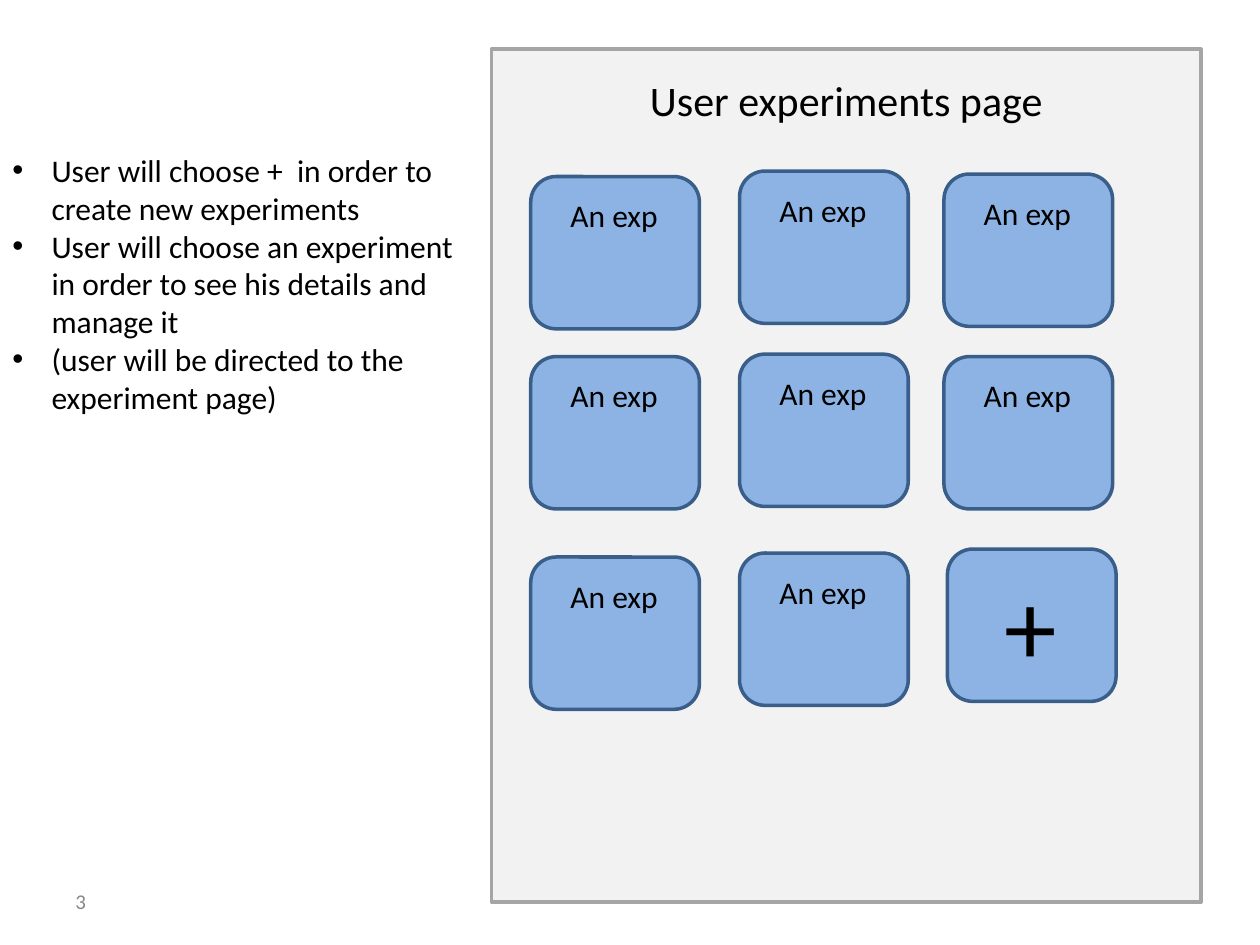
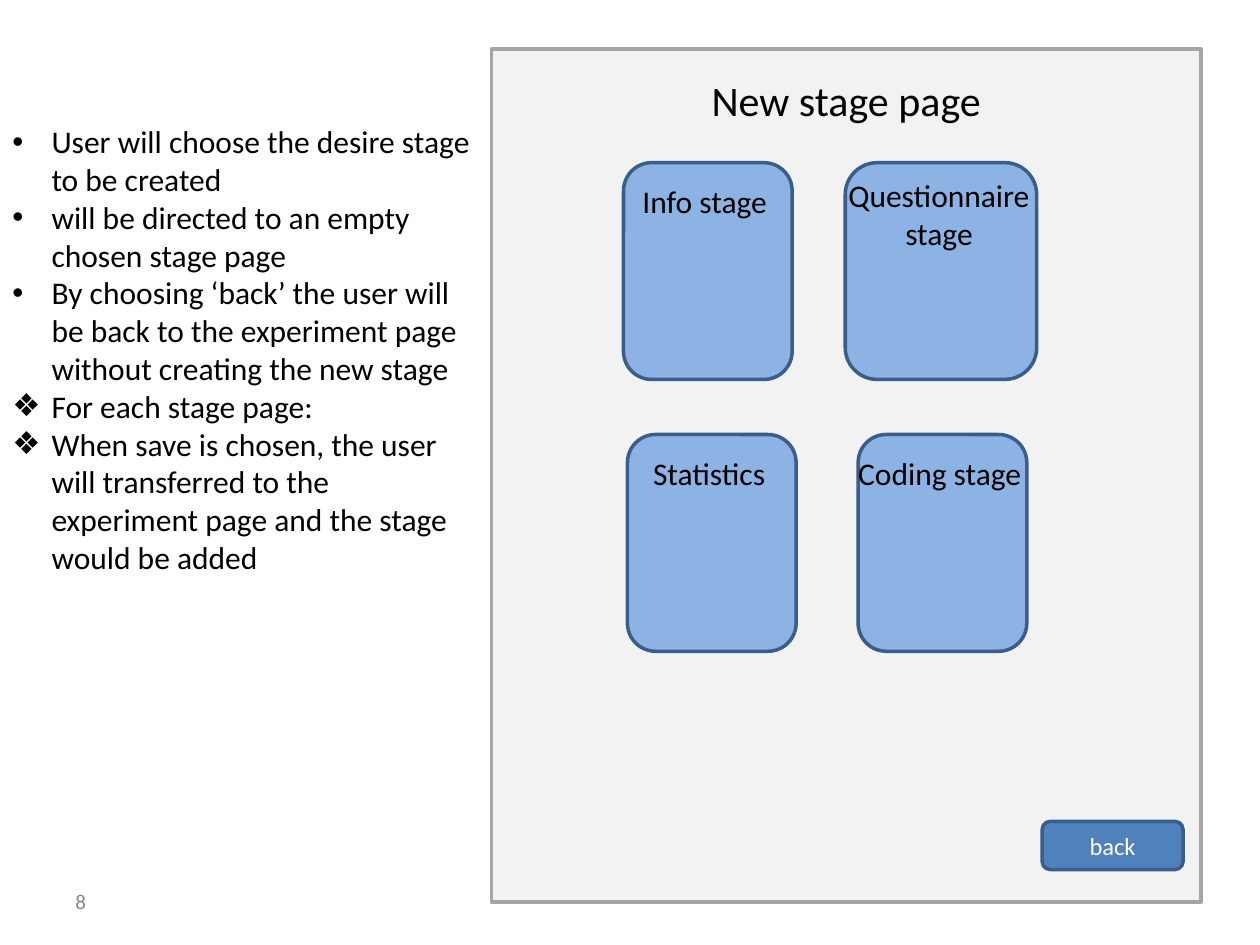
from lxml import etree
from pptx import Presentation
from pptx import util as u
from pptx.dml.color import RGBColor
from pptx.enum import shapes, text
from pptx.oxml.ns import qn

FONT = "Calibri"
BLACK, WHITE, GREY = "000000", "FFFFFF", "888888"
PANEL_FILL, PANEL_LINE = "F2F2F2", "A5A5A5"
TILE_FILL, TILE_LINE, BUTTON_FILL = "8CB3E3", "395E89", "4F81BD"
LEFT, CENTER, RIGHT = text.PP_ALIGN.LEFT, text.PP_ALIGN.CENTER, text.PP_ALIGN.RIGHT
RECT, ROUNDED = shapes.MSO_SHAPE.RECTANGLE, shapes.MSO_SHAPE.ROUNDED_RECTANGLE

PANEL = (9.91, 0.99, 14.3, 17.2)
TITLE = (9.91, 1.37, 14.3, 1.27)
NUMBER = (1.27, 17.65, 5.92, 1.02)
BACK_BUTTON = (21.01, 16.56, 2.84, 0.97)
NOTES_WIDTH = 9.91
INDENT = 0.79

TILE_WIDTH, EXPERIMENT_HEIGHT, STAGE_HEIGHT = 3.4, 3.07, 4.37
COLUMNS = (10.7, 14.91, 19.03)
ROW_TOPS = ((3.56, 3.45, 3.51), (7.19, 7.14, 7.19), (11.23, 11.15))

EXPERIMENT_LABEL = ("An exp", 0.02, 0.27, 2.79, 1.02, RIGHT, 18)
PLUS_TILE = ((19.1, 11.07, TILE_WIDTH, EXPERIMENT_HEIGHT),
             ("+", 0.76, 0.1, 1.7, 2.82, RIGHT, 60))
EXPERIMENT_TILES = [
    ((left, top, TILE_WIDTH, EXPERIMENT_HEIGHT), EXPERIMENT_LABEL)
    for tops in ROW_TOPS for left, top in zip(COLUMNS, tops)
]
STAGE_TILES = [
    ((12.57, 3.28, TILE_WIDTH, STAGE_HEIGHT),
     ("Info stage", 0.02, 0.27, 3.12, 1.02, RIGHT, 18)),
    ((17.04, 3.28, 3.86, STAGE_HEIGHT),
     ("Questionnaire stage", -0.28, 0.15, 4.34, 1.8, CENTER, 18)),
    ((17.3, 8.76, TILE_WIDTH, STAGE_HEIGHT),
     ("Coding stage", -0.3, 0.27, 3.89, 1.02, CENTER, 18)),
    ((12.65, 8.76, TILE_WIDTH, STAGE_HEIGHT),
     ("Statistics", -0.3, 0.27, 3.89, 1.02, CENTER, 18)),
]

PAGES = [
    {
        "title": "User experiments page",
        "number": "3",
        "notes_top": 2.92,
        "notes_height": 7.19,
        "notes": [
            ("•", "User will choose +  in order to create new experiments"),
            ("•", "User will choose an experiment in order to see his details and manage it"),
            ("•", "(user will be directed to the experiment page)"),
        ],
        "tiles": EXPERIMENT_TILES + [PLUS_TILE],
        "button": None,
    },
    {
        "title": "New stage page",
        "number": "8",
        "notes_top": 2.34,
        "notes_height": 9.5,
        "notes": [
            ("•", "User will choose the desire stage to be created"),
            ("•", "will be directed to an empty chosen stage page"),
            ("•", "By choosing ‘back’ the user will be back to the experiment page "
                  "without creating the new stage"),
            ("❖", "For each stage page:"),
            ("❖", "When save is chosen, the user will transferred to the experiment "
                  "page and the stage would be added"),
        ],
        "tiles": STAGE_TILES,
        "button": "back",
    },
]


def color(value):
    return RGBColor.from_string(value)


def place(spot):
    return [u.Cm(length) for length in spot]


def write(para, words, size, ink=BLACK, align=LEFT):
    para.text = words
    para.alignment = align
    para.font.name = FONT
    para.font.size = u.Pt(size)
    para.font.color.rgb = color(ink)


def add_box(parent, kind, spot, fill, line):
    box = parent.shapes.add_shape(kind, *place(spot))
    box.shadow.inherit = False
    box.fill.solid()
    box.fill.fore_color.rgb = color(fill)
    box.line.color.rgb = color(line)
    box.line.width = u.Pt(2)
    return box


def add_text(parent, spot, words, size, ink=BLACK, align=LEFT,
             anchor=text.MSO_ANCHOR.TOP):
    frame = parent.shapes.add_textbox(*place(spot)).text_frame
    frame.word_wrap = True
    frame.vertical_anchor = anchor
    write(frame.paragraphs[0], words, size, ink, align)


def add_bullet(para, mark):
    settings = para._p.get_or_add_pPr()
    settings.set("marL", str(u.Cm(INDENT)))
    settings.set("indent", str(-u.Cm(INDENT)))
    bullet_color = etree.SubElement(settings, qn("a:buClr"))
    etree.SubElement(bullet_color, qn("a:srgbClr")).set("val", BLACK)
    etree.SubElement(settings, qn("a:buFont")).set("typeface", "Arial")
    etree.SubElement(settings, qn("a:buChar")).set("char", mark)


def add_notes(page, top, height, notes):
    frame = page.shapes.add_textbox(*place((0, top, NOTES_WIDTH, height))).text_frame
    frame.word_wrap = True
    for index, (mark, words) in enumerate(notes):
        para = frame.add_paragraph() if index else frame.paragraphs[0]
        write(para, words, 18)
        add_bullet(para, mark)


def add_tile(page, spot, label):
    words, shift, drop, width, height, align, size = label
    group = page.shapes.add_group_shape()
    add_box(group, ROUNDED, spot, TILE_FILL, TILE_LINE)
    label_spot = (spot[0] + shift, spot[1] + drop, width, height)
    add_text(group, label_spot, words, size, align=align)


def add_button(page, words):
    button = add_box(page, ROUNDED, BACK_BUTTON, BUTTON_FILL, TILE_LINE)
    button.text_frame.vertical_anchor = text.MSO_ANCHOR.MIDDLE
    write(button.text_frame.paragraphs[0], words, 14, WHITE, CENTER)


def build_page(deck, content):
    page = deck.slides.add_slide(deck.slide_layouts[6])
    add_box(page, RECT, PANEL, PANEL_FILL, PANEL_LINE)
    add_text(page, TITLE, content["title"], 24, align=CENTER)
    for spot, label in content["tiles"]:
        add_tile(page, spot, label)
    add_notes(page, content["notes_top"], content["notes_height"], content["notes"])
    add_text(page, NUMBER, content["number"], 12, GREY, anchor=text.MSO_ANCHOR.MIDDLE)
    if content["button"]:
        add_button(page, content["button"])


def main():
    deck = Presentation()
    deck.slide_width, deck.slide_height = u.Cm(25.4), u.Cm(19.05)
    for content in PAGES:
        build_page(deck, content)
    deck.save("out.pptx")


if __name__ == "__main__":
    main()
